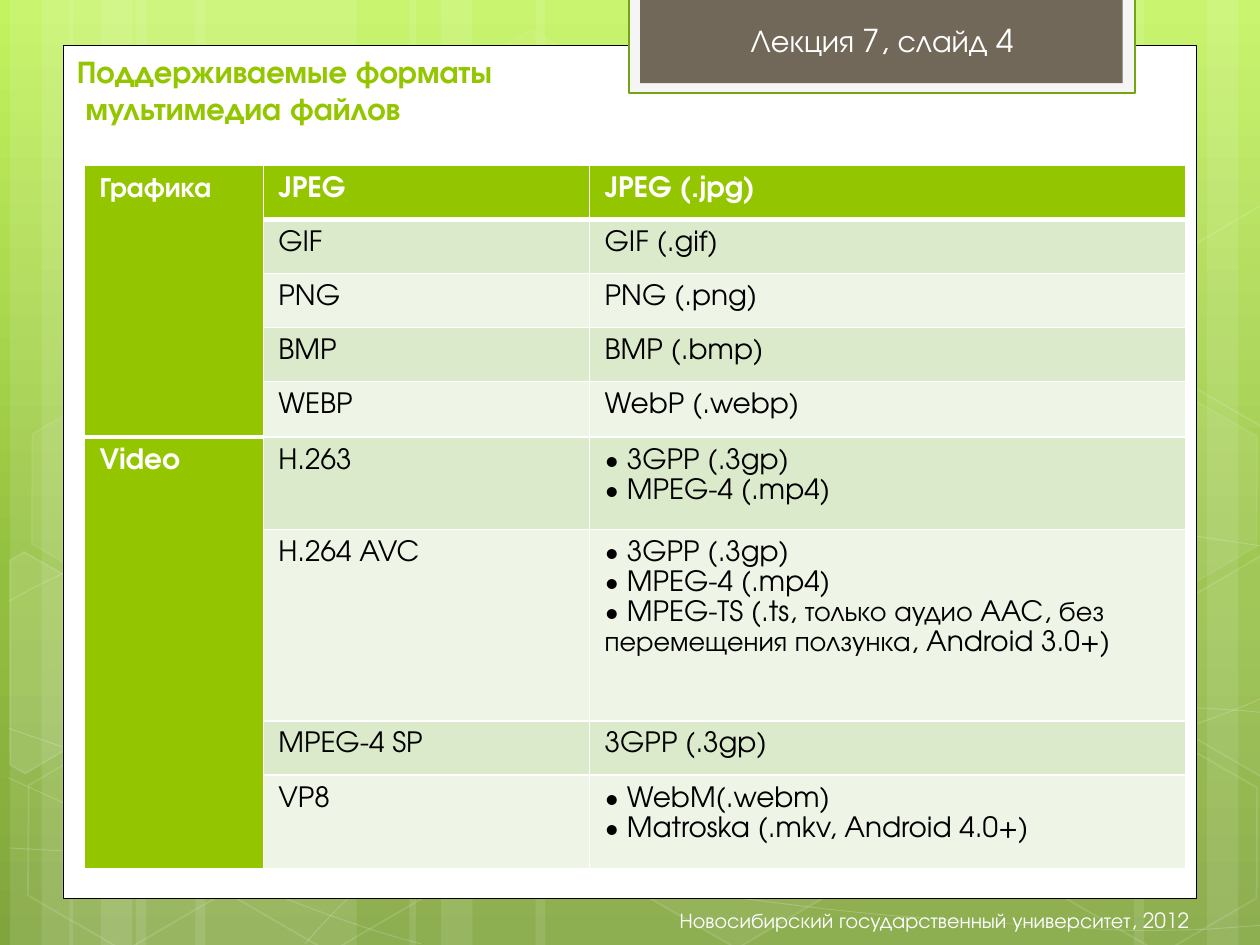
from copy import deepcopy

from lxml.etree import SubElement
from pptx import Presentation
from pptx.dml.color import RGBColor
from pptx.enum.shapes import MSO_SHAPE
from pptx.enum.text import MSO_ANCHOR, MSO_AUTO_SIZE, PP_ALIGN
from pptx.oxml.ns import qn
from pptx.util import Inches, Pt

FONT = "TeX Gyre Adventor"
WHITE = RGBColor(0xFF, 0xFF, 0xFF)
BLACK = RGBColor(0, 0, 0)
GREEN = RGBColor(0x94, 0xC6, 0x00)
DARK_GREEN = RGBColor(0x74, 0xA5, 0x10)
PALE_GREEN = RGBColor(0xDC, 0xEA, 0xCC)
PALEST_GREEN = RGBColor(0xEE, 0xF5, 0xE7)
TAB_FRAME = RGBColor(0xF5, 0xF5, 0xF5)
TAB_BROWN = RGBColor(0x71, 0x68, 0x5A)
BACKDROP = [(0, RGBColor(0xC3, 0xF3, 0x5F)), (0.62, RGBColor(0x93, 0xBF, 0x3F)),
            (1, RGBColor(0x81, 0xA5, 0x3E))]

# (left, width) of the full-height light bands
BANDS = [(1.08, 1.75), (0.08, 0.5), (0.33, 0.83), (1.55, 1.75), (0.55, 0.5), (0.8, 0.83),
         (7.33, 1.75), (9.58, 0.5), (9, 0.83), (4.25, 3.08), (3.25, 0.5), (3.5, 0.83)]
# Each wave: a start point, then two control points and an end point per Bezier segment
WAVES = [
    [(0.07, 6.73), (0.61, 6.76), (1.15, 6.79), (1.9, 6.78), (2.65, 6.77), (3.58, 6.75),
     (4.58, 6.65), (5.58, 6.55), (7, 6.36), (7.92, 6.17), (8.83, 5.98), (9.77, 5.68),
     (10.07, 5.51)],
    [(0.07, 4.77), (0.36, 4.61), (0.65, 4.46), (1.21, 4.31), (1.78, 4.16), (2.59, 3.94),
     (3.47, 3.87), (4.36, 3.8), (5.44, 3.79), (6.54, 3.87), (7.64, 3.95), (9.47, 4.26),
     (10.07, 4.34)],
    [(0.06, 6.17), (1.27, 6.72), (2.47, 7.27), (3.34, 7.49)],
    [(0.07, 5.78), (0.38, 5.89), (0.7, 6), (1.28, 6.16), (1.86, 6.31), (2.73, 6.56),
     (3.57, 6.73), (4.4, 6.9), (5.45, 7.08), (6.28, 7.18), (7.11, 7.29), (8, 7.33),
     (8.53, 7.36), (9.05, 7.4), (9.19, 7.38), (9.45, 7.38), (9.71, 7.37), (9.89, 7.35),
     (10.07, 7.34)],
    [(2.42, 7.49), (2.6, 7.29), (2.78, 7.09), (3.02, 6.91), (3.26, 6.73), (3.6, 6.53),
     (3.88, 6.39), (4.16, 6.25), (4.33, 6.19), (4.7, 6.09), (5.06, 5.99), (5.73, 5.85),
     (6.08, 5.78), (6.44, 5.71), (6.49, 5.71), (6.8, 5.69), (7.11, 5.66), (7.6, 5.63),
     (7.94, 5.62), (8.29, 5.61), (8.86, 5.62), (8.86, 5.62), (9.08, 5.62), (9.31, 5.62),
     (9.53, 5.62), (9.71, 5.63), (9.88, 5.64), (9.97, 5.65), (10.06, 5.66), (10.03, 5.65),
     (10.06, 5.66)],
]
# (left, top, fill opacity, line opacity) in percent; None means no fill
HEXAGONS = [(3.34, 0.36, 4, 8), (4.97, 5.89, 6, 12), (0.11, 5.91, None, 12),
            (0.14, 3.12, 7, 8), (1.74, 5.92, None, 12), (7.53, 4.53, 10, 12),
            (8.34, 5.93, None, 12), (8.34, 3.14, 7, 8)]
# Hexagons cut by the slide edge: corner points and fill opacity
CUT_HEXAGONS = [
    ([(0.08, 4.45), (0.19, 4.38), (0.96, 4.82), (0.95, 5.7), (0.2, 6.14), (0.08, 6.07)], 10),
    ([(9.26, 4.85), (10.01, 4.41), (10.09, 4.46), (10.09, 6.13), (10.02, 6.17),
      (9.26, 5.73)], 4),
    ([(9.26, 2.07), (10.01, 1.63), (10.1, 1.68), (10.09, 3.35), (10.02, 3.39),
      (9.26, 2.95)], None),
]
COLUMN_WIDTHS = [1.42, 2.59, 4.73]
GROUPS = {
    "Графика": [("JPEG", "JPEG (.jpg)", 0.43), ("GIF", "GIF (.gif)", 0.43),
                ("PNG", "PNG (.png)", 0.43), ("BMP", "BMP (.bmp)", 0.43),
                ("WEBP", "WebP (.webp)", 0.44)],
    "Video": [("H.263", "• 3GPP (.3gp)\v• MPEG-4 (.mp4)", 0.73),
              ("H.264 AVC", "• 3GPP (.3gp)\v• MPEG-4 (.mp4)\v• MPEG-TS (.ts, только аудио "
               "AAC, без перемещения ползунка, Android 3.0+)", 1.52),
              ("MPEG-4 SP", "3GPP (.3gp)", 0.43),
              ("VP8", "• WebM(.webm)\v• Matroska (.mkv, Android 4.0+)", 0.74)],
}


def apply(target, **values):
    for name, value in values.items():
        setattr(target, name, value)


def set_opacity(fill_owner, percent):
    if percent < 100:
        color = fill_owner.find(".//" + qn("a:srgbClr"))
        SubElement(color, qn("a:alpha"), val=str(percent * 1000))


def paint(shape, fill=None, line=None, width=1, fill_opacity=100, line_opacity=100):
    shape.shadow.inherit = False
    if fill is None:
        shape.fill.background()
    else:
        shape.fill.solid()
        shape.fill.fore_color.rgb = fill
        set_opacity(shape.element.spPr.find(qn("a:solidFill")), fill_opacity)
    if line is None:
        shape.line.fill.background()
    else:
        shape.line.color.rgb = line
        shape.line.width = Pt(width)
        set_opacity(shape.element.spPr.find(qn("a:ln")), line_opacity)


def add_box(page, box, kind=MSO_SHAPE.RECTANGLE, **look):
    shape = page.shapes.add_shape(kind, *map(Inches, box))
    paint(shape, **look)
    return shape


def add_outline(page, points, close, **look):
    start, *rest = [(Inches(x), Inches(y)) for x, y in points]
    builder = page.shapes.build_freeform(*start)
    builder.add_line_segments(rest, close=close)
    shape = builder.convert_to_shape()
    paint(shape, line=WHITE, **look)
    return shape


def bend(shape):
    """Turn each run of three straight steps into one cubic Bezier segment."""
    outline = shape.element.find(".//" + qn("a:path"))
    steps = outline.findall(qn("a:lnTo"))
    for first in range(0, len(steps), 3):
        curve = SubElement(outline, qn("a:cubicBezTo"))
        for step in steps[first:first + 3]:
            curve.append(step[0])
            outline.remove(step)


def add_backdrop(page, height):
    fill = page.background.fill
    fill.gradient()
    fill.gradient_angle = 270
    stops = page.element.find(".//" + qn("a:gsLst"))
    stops.append(deepcopy(stops[-1]))
    for stop, (position, color) in zip(fill.gradient_stops, BACKDROP):
        stop.position = position
        stop.color.rgb = color
    for left, width in BANDS:
        add_box(page, (left, 0, width, height), fill=WHITE, fill_opacity=10)
    for knots in WAVES:
        bend(add_outline(page, knots, False, width=0.5, line_opacity=20))
    for left, top, opacity, line_opacity in HEXAGONS:
        hexagon = add_box(page, (left, top, 1.75, 1.52), MSO_SHAPE.HEXAGON,
                          fill=WHITE if opacity else None, fill_opacity=opacity,
                          line=WHITE, line_opacity=line_opacity)
        hexagon.rotation = 30
        hexagon.adjustments[0] = 0.285
    for points, opacity in CUT_HEXAGONS:
        add_outline(page, points, True, fill=WHITE if opacity else None,
                    fill_opacity=opacity, line_opacity=12)


def write(para, text, size, color, bold=False):
    para.text = text
    for span in para.runs:
        apply(span.font, name=FONT, size=Pt(size), bold=bold)
        span.font.color.rgb = color
    for line_break in para._p.findall(qn("a:br")):
        line_break.append(deepcopy(para.runs[0]._r.rPr))


def add_label(page, box, text, size, align=PP_ALIGN.LEFT, **frame_format):
    frame = page.shapes.add_textbox(*map(Inches, box)).text_frame
    apply(frame, **frame_format)
    write(frame.paragraphs[0], text, size, WHITE)
    frame.paragraphs[0].alignment = align


def add_lecture_tab(page, box):
    left, top, width, height = box
    add_box(page, box, fill=TAB_FRAME, line=DARK_GREEN, width=1.25)
    add_box(page, (left + 0.09, top, width - 0.19, height - 0.08), fill=TAB_BROWN)
    add_label(page, (left + 0.87, top + 0.14, 2.45, 0.4), "Лекция 7, слайд 4", 18,
              word_wrap=False, auto_size=MSO_AUTO_SIZE.SHAPE_TO_FIT_TEXT)


def place_title(page, box, lines):
    title = page.shapes.title
    apply(title, **dict(zip(("left", "top", "width", "height"), map(Inches, box))))
    title.element.getparent().append(title.element)  # in front of the panel
    frame = title.text_frame
    apply(frame, word_wrap=True, vertical_anchor=MSO_ANCHOR.TOP,
          auto_size=MSO_AUTO_SIZE.SHAPE_TO_FIT_TEXT)
    for index, line in enumerate(lines):
        para = frame.add_paragraph() if index else frame.paragraphs[0]
        write(para, line, 18, GREEN, bold=True)
        para.alignment = PP_ALIGN.LEFT
    para._p.get_or_add_pPr().set("marL", str(Inches(0.07)))


def fill_cell(cell, text, fill, color, bold, bottom=1):
    apply(cell, margin_left=Inches(0.12), margin_right=Inches(0.12),
          margin_top=Inches(0.06), margin_bottom=Inches(0.06))
    properties = cell._tc.get_or_add_tcPr()
    for side, width in (("L", 1), ("R", 1), ("T", 1), ("B", bottom)):
        border = SubElement(properties, qn("a:ln" + side), w=str(Pt(width)))
        SubElement(SubElement(border, qn("a:solidFill")), qn("a:srgbClr"), val=str(WHITE))
    cell.fill.solid()
    cell.fill.fore_color.rgb = fill
    para = cell.text_frame.paragraphs[0]
    write(para, text, 16, color, bold)
    para.line_spacing = 1.15


def add_format_table(page, box):
    rows = [row for group in GROUPS.values() for row in group]
    table = page.shapes.add_table(len(rows), len(COLUMN_WIDTHS), *map(Inches, box)).table
    for column, width in zip(table.columns, COLUMN_WIDTHS):
        column.width = Inches(width)
    for index, (codec, files, height) in enumerate(rows):
        table.rows[index].height = Inches(height)
        if index == 0:
            look = (GREEN, WHITE, True, 3)
        else:
            look = (PALE_GREEN if index % 2 else PALEST_GREEN, BLACK, False)
        fill_cell(table.cell(index, 1), codec, *look)
        fill_cell(table.cell(index, 2), files, *look)
    first = 0
    for name, group in GROUPS.items():
        last = first + len(group) - 1
        table.cell(first, 0).merge(table.cell(last, 0))
        fill_cell(table.cell(first, 0), name, GREEN, WHITE, True, 1 if first else 3)
        first = last + 1


def main():
    deck = Presentation()
    apply(deck, slide_width=Inches(10), slide_height=Inches(7.5))
    page = deck.slides.add_slide(deck.slide_layouts.get_by_name("Title Only"))
    add_backdrop(page, 7.5)
    add_box(page, (0.5, 0.36, 9, 6.77), fill=WHITE, line=BLACK, width=0.5)
    add_lecture_tab(page, (4.99, -0.02, 4.02, 0.76))
    add_label(page, (3.11, 7.1, 6.43, 0.4), "Новосибирский государственный университет, 2012",
              12, PP_ALIGN.RIGHT, word_wrap=True, vertical_anchor=MSO_ANCHOR.MIDDLE)
    add_format_table(page, (0.67, 1.31, 8.74, 5.58))
    place_title(page, (0.51, 0.36, 8.74, 0.71),
                ["Поддерживаемые форматы", "мультимедиа файлов"])
    deck.save("out.pptx")


if __name__ == "__main__":
    main()
